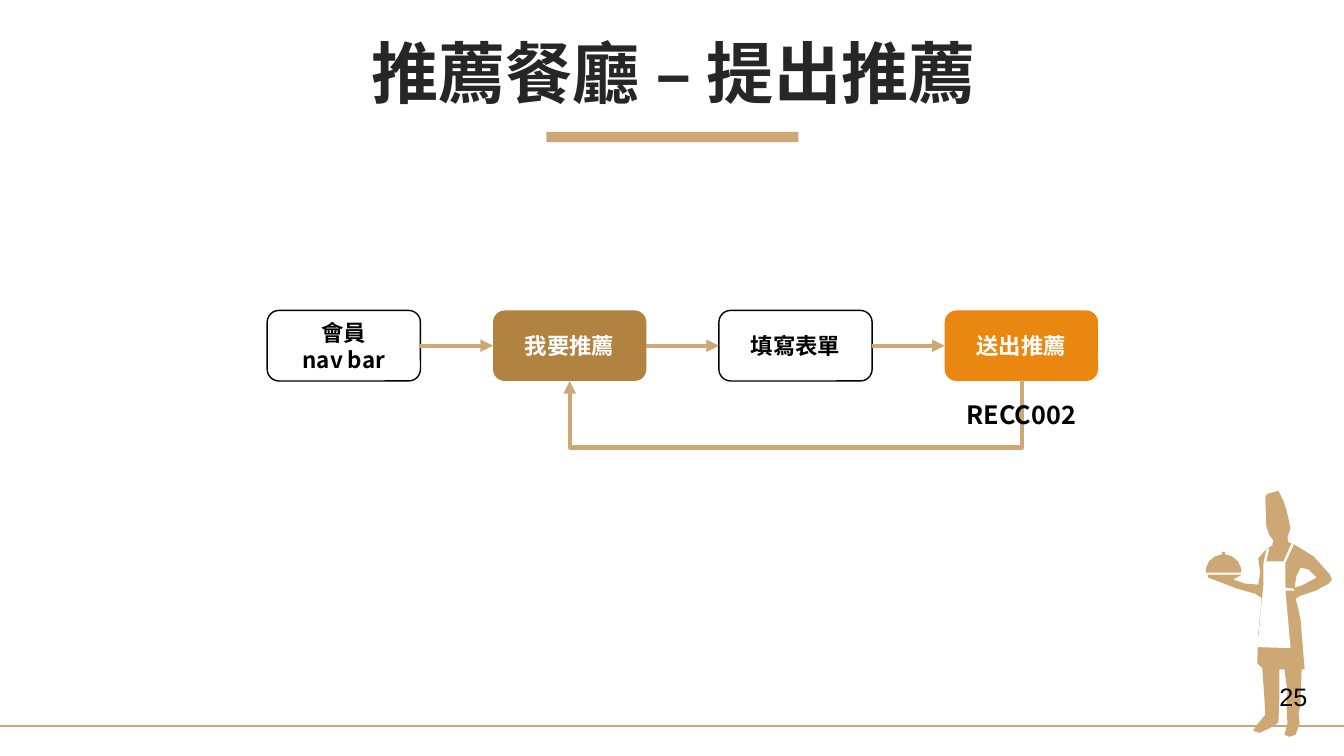
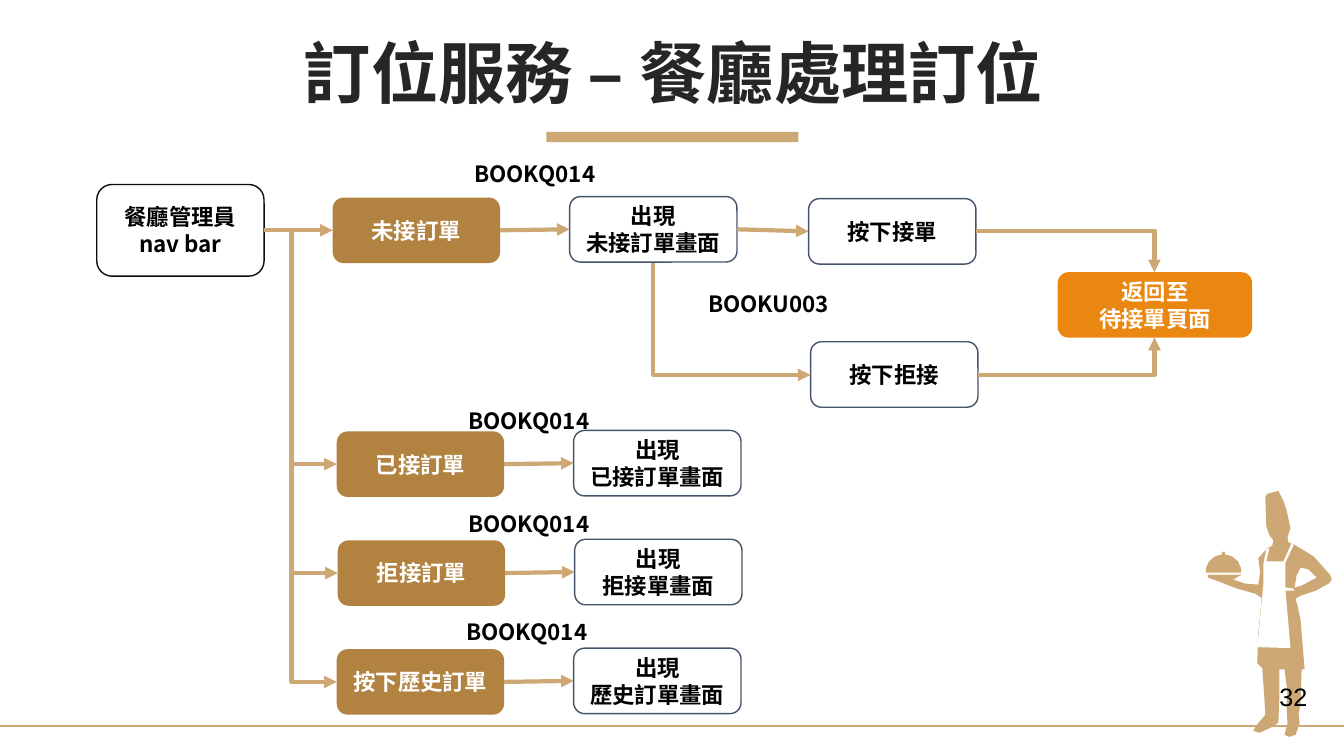
from copy import deepcopy
from dataclasses import dataclass

from lxml import etree
from pptx import Presentation
from pptx import util as u
from pptx.dml.color import RGBColor
from pptx.enum import shapes, text
from pptx.oxml import ns

TAN = RGBColor(0xCD, 0xA8, 0x74)
BROWN = RGBColor(0xB1, 0x82, 0x40)
ORANGE = RGBColor(0xEA, 0x87, 0x10)
WHITE = RGBColor(0xFF, 0xFF, 0xFF)
BLACK = RGBColor(0, 0, 0)
NEAR_BLACK = RGBColor(0x0D, 0x0D, 0x0D)
CHARCOAL = RGBColor(0x26, 0x26, 0x26)
SLATE = RGBColor(0x44, 0x54, 0x6A)
CJK_FONT = "Noto Sans CJK SC"
TOP, LEFT, BOTTOM, RIGHT = range(4)
ROUNDED = shapes.MSO_SHAPE.ROUNDED_RECTANGLE
PROCESS = shapes.MSO_SHAPE.FLOWCHART_ALTERNATE_PROCESS

# Outlines in hundredths of an inch
CHEF_BODY = [
    (1198, 570), (1232, 570), (1223, 575), (1235, 579), (1248, 580), (1250, 568),
    (1248, 554), (1256, 545), (1262, 541), (1263, 536), (1259, 531), (1256, 522),
    (1255, 493), (1257, 490), (1268, 487), (1273, 497), (1276, 506), (1280, 524),
    (1277, 533), (1278, 538), (1285, 541), (1303, 552), (1319, 570), (1321, 575),
    (1318, 579), (1305, 586), (1290, 591), (1285, 594), (1287, 601), (1290, 615),
    (1294, 664), (1291, 664), (1290, 698), (1288, 708), (1289, 718), (1285, 729),
    (1279, 731), (1274, 729), (1277, 718), (1276, 699), (1277, 687), (1274, 664),
    (1269, 664), (1269, 691), (1268, 717), (1262, 721), (1256, 724), (1249, 727),
    (1243, 725), (1246, 720), (1255, 709), (1254, 691), (1252, 663), (1247, 658),
    (1248, 628), (1251, 600), (1251, 593), (1245, 589), (1227, 584), (1209, 577),
    (1198, 573),
]
ARM_GAP = [(1284, 583), (1291, 581), (1306, 573), (1298, 565), (1290, 563), (1286, 571)]
APRON = [
    (1281, 539), (1273, 557), (1256, 557), (1259, 544), (1256, 545), (1253, 560),
    (1253, 581), (1247, 642), (1280, 643), (1275, 586), (1284, 586), (1283, 584),
    (1275, 583), (1275, 558), (1283, 541),
]
DISH = [
    (1214, 547), (1212, 548), (1212, 550), (1205, 552), (1199, 557), (1196, 564),
    (1196, 568), (1231, 568), (1231, 564), (1228, 557), (1222, 552), (1215, 550),
    (1215, 548),
]


@dataclass(frozen=True)
class TextStyle:
    size: float = 16
    color: RGBColor = BLACK
    bold: bool = True
    font: str = CJK_FONT


@dataclass(frozen=True)
class BoxStyle:
    fill: RGBColor | None = None
    line: RGBColor | None = None
    text: RGBColor = BLACK


@dataclass(frozen=True)
class OrderRow:
    entry: str
    screen: str
    left: float
    top: float
    code_left: float
    code_top: float


FORM = BoxStyle(WHITE, BLACK)
START = BoxStyle(line=NEAR_BLACK)
SCREEN = BoxStyle(line=SLATE)
ACTION = BoxStyle(BROWN, text=WHITE)
RESULT = BoxStyle(ORANGE, text=WHITE)

ORDER_ROWS = [
    OrderRow("未接訂單", "出現\n未接訂單畫面", 3.3, 1.96, 4.59, 1.54),
    OrderRow("已接訂單", "出現\n已接訂單畫面", 3.34, 4.28, 4.53, 3.99),
    OrderRow("拒接訂單", "出現\n拒接單畫面", 3.35, 5.36, 4.53, 5.01),
    OrderRow("按下歷史訂單", "出現\n歷史訂單畫面", 3.34, 6.44, 4.51, 6.08),
]


def write(frame, words: str, style: TextStyle, align=text.PP_ALIGN.CENTER):
    para = frame.paragraphs[0]
    para.text = words
    para.alignment = align
    formats = {"size": u.Pt(style.size), "bold": style.bold, "name": style.font}
    for span in para.runs:
        for name, value in formats.items():
            setattr(span.font, name, value)
        span.font.color.rgb = style.color
        properties = span._r.get_or_add_rPr()
        etree.SubElement(properties, ns.qn("a:ea"), typeface=style.font)
    for line_break in para._p.findall(ns.qn("a:br")):
        line_break.append(deepcopy(para.runs[0]._r.rPr))
    return para


def paint(shape, fill: RGBColor | None, line: RGBColor | None = None) -> None:
    shape.shadow.inherit = False
    if fill is None:
        shape.fill.background()
    else:
        shape.fill.solid()
        shape.fill.fore_color.rgb = fill
    if line is None:
        shape.line.fill.background()
    else:
        shape.line.color.rgb = line
        shape.line.width = u.Pt(1)


def add_box(page, words: str, left: float, top: float, width: float, height: float,
            style: BoxStyle, kind=ROUNDED):
    box = page.shapes.add_shape(kind, *map(u.Inches, (left, top, width, height)))
    paint(box, style.fill, style.line)
    box.text_frame.word_wrap = True
    box.text_frame.vertical_anchor = text.MSO_ANCHOR.MIDDLE
    write(box.text_frame, words, TextStyle(color=style.text))
    return box


def add_label(page, words: str, left: float, top: float, width: float, height: float,
              style: TextStyle = TextStyle(), align=text.PP_ALIGN.CENTER) -> None:
    """Place free text that stays on one line."""
    label = page.shapes.add_textbox(*map(u.Inches, (left, top, width, height)))
    label.text_frame.word_wrap = False
    label.text_frame.auto_size = text.MSO_AUTO_SIZE.SHAPE_TO_FIT_TEXT
    write(label.text_frame, words, style, align)


def add_line(page, kind, start: tuple[float, float], end: tuple[float, float],
             width: float = 3, arrow: bool = True):
    line = page.shapes.add_connector(kind, *map(u.Inches, (*start, *end)))
    line.line.color.rgb = TAN
    line.line.width = u.Pt(width)
    if arrow:
        etree.SubElement(line.line._get_or_add_ln(), ns.qn("a:tailEnd"), type="triangle")
    etree.SubElement(line._element.spPr, ns.qn("a:effectLst"))
    return line


def join(page, source, target) -> None:
    """Run a straight arrow from the right side of one box to the left of the next."""
    arrow = add_line(page, shapes.MSO_CONNECTOR.STRAIGHT, (0, 0), (1, 1))
    arrow.begin_connect(source, RIGHT)
    arrow.end_connect(target, LEFT)


def turned(page, start: tuple[float, float], end: tuple[float, float], turn: int):
    """Add an elbow arrow whose frame is turned by a quarter about its centre."""
    middle_x, middle_y = (start[0] + end[0]) / 2, (start[1] + end[1]) / 2
    half_x, half_y = abs(end[0] - start[0]) / 2, abs(end[1] - start[1]) / 2
    arrow = add_line(page, shapes.MSO_CONNECTOR.ELBOW,
                     (middle_x - half_y, middle_y - half_x),
                     (middle_x + half_y, middle_y + half_x))
    arrow._element.spPr.find(ns.qn("a:xfrm")).set("rot", str(turn * 60000))
    return arrow


def one_bend(arrow) -> None:
    arrow._element.spPr.find(ns.qn("a:prstGeom")).set("prst", "bentConnector2")


def across_then_up_or_down(page, start: tuple[float, float], end: tuple[float, float]) -> None:
    one_bend(add_line(page, shapes.MSO_CONNECTOR.ELBOW, start, end))


def down_then_right(page, start: tuple[float, float], end: tuple[float, float]) -> None:
    arrow = turned(page, start, end, 270)
    arrow._element.spPr.find(ns.qn("a:xfrm")).set("flipH", "1")
    one_bend(arrow)


def loop_below(page, start: tuple[float, float], end: tuple[float, float], depth: float) -> None:
    """Run an arrow down, back to the left and up again."""
    arrow = turned(page, start, end, 90)
    guides = arrow._element.spPr.find(ns.qn("a:prstGeom")).get_or_add_avLst()
    reach = round(depth / abs(end[1] - start[1]) * 100000)
    etree.SubElement(guides, ns.qn("a:gd"), name="adj1", fmla=f"val {reach}")


def add_outline(page, fill: RGBColor, *contours: list[tuple[int, int]]) -> None:
    builder = page.shapes.build_freeform(*contours[0][0], scale=u.Inches(0.01))
    for index, contour in enumerate(contours):
        if index:
            builder.move_to(*contour[0])
        builder.add_line_segments(contour[1:], close=True)
    paint(builder.convert_to_shape(), fill)


def add_page(deck, title: str, number: int):
    """Add a slide with the shared title, rules, chef and page number."""
    page = deck.slides.add_slide(deck.slide_layouts[6])
    bar = page.shapes.add_shape(shapes.MSO_SHAPE.RECTANGLE,
                                *map(u.Inches, (5.42, 1.31, 2.5, 0.1)))
    paint(bar, TAN)
    add_line(page, shapes.MSO_CONNECTOR.STRAIGHT, (0, 7.2), (13.33, 7.2), 1.5, arrow=False)
    add_outline(page, TAN, CHEF_BODY, ARM_GAP)
    add_outline(page, WHITE, APRON)
    add_outline(page, TAN, DISH)
    heading = page.shapes.add_textbox(*map(u.Inches, (0.35, 0.37, 12.66, 0.79)))
    heading.text_frame.word_wrap = True
    heading.text_frame.vertical_anchor = text.MSO_ANCHOR.MIDDLE
    write(heading.text_frame, title, TextStyle(48, CHARCOAL)).line_spacing = 0.9
    add_label(page, str(number), 12.59, 6.71, 0.48, 0.4,
              TextStyle(18, bold=False, font="Arial"), text.PP_ALIGN.LEFT)
    return page


def recommend_page(deck) -> None:
    page = add_page(deck, "推薦餐廳 – 提出推薦", 25)
    steps = [("會員\nnav bar", FORM), ("我要推薦", ACTION), ("填寫表單", FORM), ("送出推薦", RESULT)]
    boxes = [add_box(page, words, 2.65 + 2.24 * index, 3.08, 1.52, 0.7, style, PROCESS)
             for index, (words, style) in enumerate(steps)]
    for source, target in zip(boxes, boxes[1:]):
        join(page, source, target)
    loop_below(page, (10.14, 3.77), (5.65, 3.78), 0.68)
    add_label(page, "RECC002", 9.49, 3.91, 1.3, 0.4, TextStyle(18), text.PP_ALIGN.LEFT)


def booking_page(deck) -> None:
    page = add_page(deck, "訂位服務 – 餐廳處理訂位", 32)
    width, height = 1.66, 0.65
    manager = add_box(page, "餐廳管理員\nnav bar", 0.96, 1.83, width, 0.91, START)
    accept = add_box(page, "按下接單", 8.02, 1.97, width, height, SCREEN)
    add_box(page, "按下拒接", 8.04, 3.39, width, height, SCREEN)
    add_box(page, "返回至\n待接單頁面", 10.49, 2.7, 1.93, height, RESULT)
    for index, row in enumerate(ORDER_ROWS):
        entry = add_box(page, row.entry, row.left, row.top, width, height, ACTION)
        screen = add_box(page, row.screen, row.left + 2.35, row.top - 0.01, width, height, SCREEN)
        join(page, entry, screen)
        add_label(page, "BOOKQ014", row.code_left, row.code_top, 1.43, 0.37)
        if index == 0:
            join(page, manager, entry)
            join(page, screen, accept)
        else:
            down_then_right(page, (2.89, 2.29), (row.left, row.top + height / 2))
    down_then_right(page, (6.48, 2.61), (8.04, 3.72))
    across_then_up_or_down(page, (9.68, 2.29), (11.45, 2.7))
    across_then_up_or_down(page, (9.7, 3.72), (11.45, 3.35))
    add_label(page, "BOOKU003", 6.91, 2.83, 1.43, 0.37)


def main() -> None:
    deck = Presentation()
    deck.slide_width, deck.slide_height = u.Inches(13.33), u.Inches(7.5)
    recommend_page(deck)
    booking_page(deck)
    deck.save("out.pptx")


if __name__ == "__main__":
    main()
